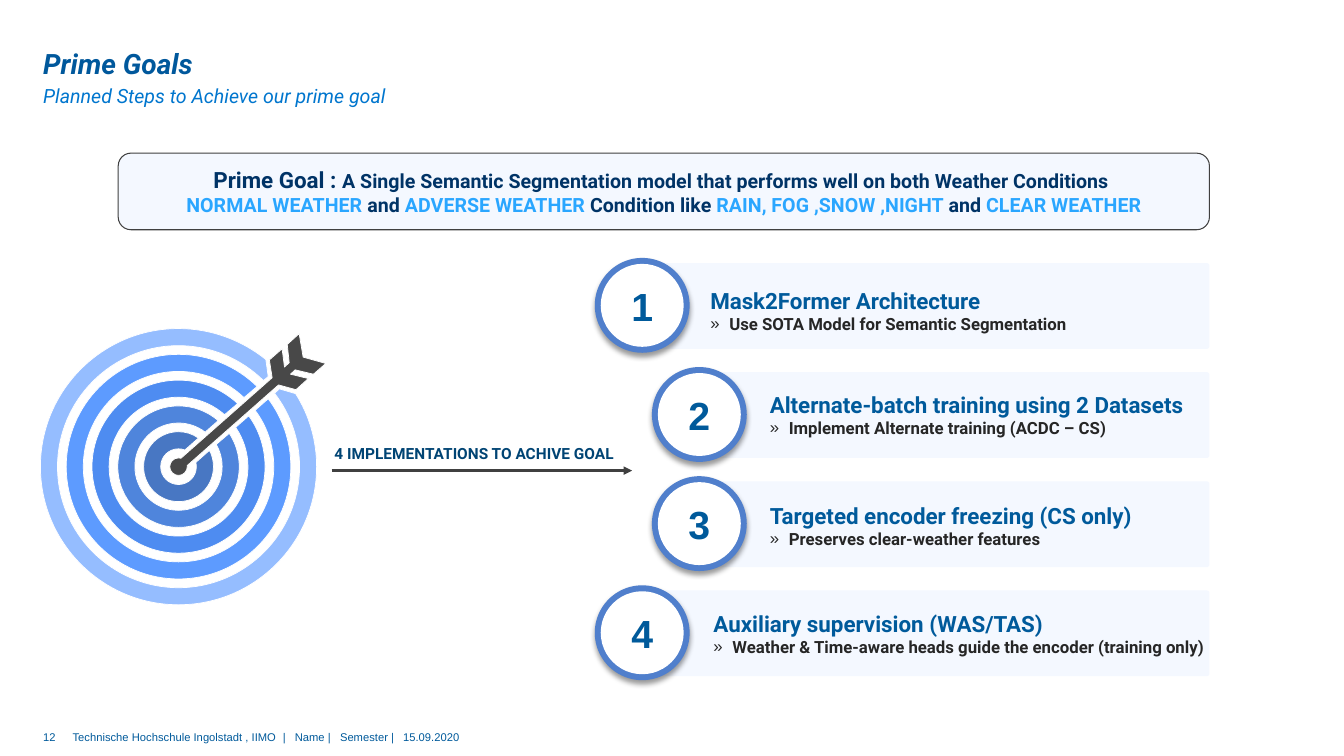
"""Builds the Prime Goals slide with a target, an arrow and four numbered steps."""
from itertools import pairwise
from math import asin, cos, pi, radians, sin, tan

from lxml.etree import SubElement
from pptx import Presentation
from pptx.dml.color import RGBColor
from pptx.enum.shapes import MSO_CONNECTOR, MSO_SHAPE
from pptx.enum.text import MSO_ANCHOR, PP_ALIGN
from pptx.oxml.ns import qn
from pptx.util import Cm, Pt

PALE, BLUE, NAVY, SKY, DARK = "F4F8FF", "005A9B", "003366", "2AA6FF", "404040"
hex_color = RGBColor.from_string


def style(shape, fill, line=None, width=0.5):
    shape.shadow.inherit = False
    shape.fill.solid()
    shape.fill.fore_color.rgb = hex_color(fill)
    if line:
        shape.line.color.rgb = hex_color(line)
        shape.line.width = Pt(width)
    else:
        shape.line.fill.background()
    return shape


def write(paragraph, runs, font, layout):
    for name, value in layout.items():
        setattr(paragraph, name, value)
    for text, size, color in runs:
        run = paragraph.add_run()
        run.text = text
        for name, value in {"name": "Roboto", "size": Pt(size), **font}.items():
            setattr(run.font, name, value)
        run.font.color.rgb = hex_color(color)


presentation = Presentation()
presentation.slide_width, presentation.slide_height = Cm(33.87), Cm(19.05)
slide = presentation.slides.add_slide(presentation.slide_layouts[6])
shapes = slide.shapes

bold = {"bold": True}
arial = {"name": "Arial"}
tab_stops = [5.3, 5.6, 6.74, 8.33]
captions = [
    (1.09, 1.19, 27.1, 0.91, "Prime Goals", 20, "00589C",
     {"bold": True, "italic": True}, {"line_spacing": 0.9}),
    (1.09, 1.88, 27.1, 0.94, "Planned Steps to Achieve our prime goal", 14, "0076CE",
     {"italic": True}, {"line_spacing": 1.4}),
    (1.09, 18.4, 0.7, 0.58, "12", 8, BLUE, arial, {}),
    (1.83, 18.4, 22.8, 0.69,
     "Technische Hochschule Ingolstadt , IIMO\t|\tName |\tSemester |\t15.09.2020",
     8, BLUE, arial, {}),
    (8.43, 11.2, 7.57, 0.6, "4 IMPLEMENTATIONS TO ACHIVE GOAL", 11, "004474", bold, {}),
]
for left, top, width, height, text, size, color, font, layout in captions:
    frame = shapes.add_textbox(Cm(left), Cm(top), Cm(width), Cm(height)).text_frame
    for name in ("margin_left", "margin_top", "margin_right", "margin_bottom"):
        setattr(frame, name, 0)
    frame.word_wrap = True
    frame.vertical_anchor = MSO_ANCHOR.MIDDLE if text == "Prime Goals" else MSO_ANCHOR.TOP
    caption = frame.paragraphs[0]
    if "\t" in text:
        tabs = SubElement(caption._p.get_or_add_pPr(), qn("a:tabLst"))
        for stop in tab_stops:
            SubElement(tabs, qn("a:tab"), pos=str(Cm(stop)), algn="l")
    write(caption, [(text, size, color)], font, layout)

goal = style(shapes.add_shape(MSO_SHAPE.ROUNDED_RECTANGLE, Cm(2.98), Cm(3.86), Cm(27.5), Cm(1.93)),
             PALE, DARK, 0.75)
goal.text_frame.word_wrap = True
goal.text_frame.vertical_anchor = MSO_ANCHOR.MIDDLE
centered = {"alignment": PP_ALIGN.CENTER}
write(goal.text_frame.paragraphs[0], [
    ("Prime Goal : ", 16, NAVY),
    ("A Single Semantic Segmentation model that performs well on both Weather Conditions ", 14, NAVY),
], bold, centered)
write(goal.text_frame.add_paragraph(), [
    ("NORMAL WEATHER ", 14, SKY), ("and ", 14, NAVY), ("ADVERSE WEATHER ", 14, SKY),
    ("Condition like ", 14, NAVY), ("RAIN, FOG ,SNOW ,NIGHT ", 14, SKY),
    ("and ", 14, NAVY), ("CLEAR WEATHER", 14, SKY),
], bold, centered)

center_x, center_y, tilt = 4.5, 11.76, radians(41.4)
target = []
for index, color in enumerate(["95BDFF", "5D9BFF", "4E8CF1", "4F85DC", "4877C3"]):
    outer = 3.48 - 0.65 * index
    notch = [] if index else [(3.2, -0.21)]
    target.append((color, [
        (outer, 0.21 if index else 0.57, 1, notch),
        (outer - 0.43, 0.21, -1, [(along, -across) for along, across in notch]),
    ]))
feathers = [(3.25, 0.12), (3.5, 0.5), (3.92, 0.5), (3.66, 0.12), (3.82, 0.12), (4.09, 0.5), (4.5, 0.5)]
shaft = [(along, -across) for along, across in feathers] + [(4.18, 0)] + feathers[::-1]
target.append(("484848", [(0.22, 0.12, 1, shaft)]))

for color, arcs in target:
    segments = []
    for radius, gap, direction, corners in arcs:
        opening = asin(gap / radius)
        angles = [tilt + opening, pi / 2, pi, 3 * pi / 2, 2 * pi, 2 * pi + tilt - opening][::direction]
        segments.append([(radius * cos(angles[0]), radius * sin(angles[0]))])
        for start, end in pairwise(angles):
            handle = 4 / 3 * tan((end - start) / 4)
            segments.append([(radius * x, radius * y) for x, y in (
                (cos(start) - handle * sin(start), sin(start) + handle * cos(start)),
                (cos(end) + handle * sin(end), sin(end) - handle * cos(end)),
                (cos(end), sin(end)))])
        segments += [[(along * cos(tilt) - across * sin(tilt), along * sin(tilt) + across * cos(tilt))]
                     for along, across in corners]
    points = [(100 * (center_x + x), 100 * (center_y - y)) for segment in segments for x, y in segment]
    builder = shapes.build_freeform(*points[0], scale=Cm(0.01))
    builder.add_line_segments(points[1:], close=True)
    outline = style(builder.convert_to_shape(), color, "FFFFFF")
    nodes = iter(list(outline._element.iter(qn("a:lnTo"))))
    for segment in segments[1:]:
        first, *others = [next(nodes) for _ in segment]
        if others:
            first.tag = qn("a:cubicBezTo")
            for node in others:
                first.append(node[0])
                node.getparent().remove(node)

pointer = shapes.add_connector(MSO_CONNECTOR.STRAIGHT, Cm(8.36), Cm(11.86), Cm(15.93), Cm(11.86))
pointer.line.color.rgb = hex_color(DARK)
pointer.line.width = Pt(2)
SubElement(pointer.line._get_or_add_ln(), qn("a:tailEnd"), type="triangle")
SubElement(pointer._element.spPr, qn("a:effectLst"))

steps = [
    (14.99, 16.15, 17.65, 7.11, "Mask2Former Architecture",
     "Use SOTA Model for Semantic Segmentation"),
    (16.43, 17.65, 19.15, 9.73, "Alternate-batch training using 2 Datasets",
     "Implement Alternate training (ACDC – CS)"),
    (16.43, 17.65, 19.15, 12.52, "Targeted encoder freezing (CS only)",
     "Preserves clear-weather features"),
    (14.99, 16.33, 17.73, 15.24, "Auxiliary supervision (WAS/TAS)",
     "Weather & Time-aware heads guide the encoder (training only)"),
]
for index, (badge_left, card_left, text_left, text_top, heading, detail) in enumerate(steps):
    badge_top = 6.5 + 2.75 * index
    card = style(shapes.add_shape(MSO_SHAPE.ROUNDED_RECTANGLE, Cm(card_left), Cm(badge_top + 0.13),
                                  Cm(30.48 - card_left), Cm(2.16)), PALE)
    card.adjustments[0] = 0.03

    frame = shapes.add_textbox(Cm(text_left), Cm(text_top), Cm(14.68), Cm(1.45)).text_frame
    frame.word_wrap = True
    write(frame.paragraphs[0], [(heading, 16, BLUE)], bold, {})
    bullet = frame.add_paragraph()
    properties = bullet._p.get_or_add_pPr()
    properties.set("marL", str(Cm(0.48)))
    properties.set("indent", str(-Cm(0.48)))
    SubElement(properties, qn("a:buFont"), typeface="Arial")
    SubElement(properties, qn("a:buChar"), char="»")
    write(bullet, [(detail, 12, "262626")], bold, {})

    ring = style(shapes.add_shape(MSO_SHAPE.OVAL, Cm(badge_left), Cm(badge_top), Cm(2.39), Cm(2.39)), "507FCC")
    shadow = SubElement(ring._element.spPr.find(qn("a:effectLst")), qn("a:outerShdw"),
                        blurRad=str(Pt(4)), dist=str(Pt(3)), dir="5400000", rotWithShape="0")
    SubElement(SubElement(shadow, qn("a:srgbClr"), val="000000"), qn("a:alpha"), val="40000")
    number = style(shapes.add_shape(MSO_SHAPE.OVAL, Cm(badge_left + 0.15), Cm(badge_top + 0.15),
                                    Cm(2.09), Cm(2.09)), "FFFFFF").text_frame
    number.vertical_anchor = MSO_ANCHOR.MIDDLE
    write(number.paragraphs[0], [(str(index + 1), 28, BLUE)], {**arial, **bold}, centered)

presentation.save("out.pptx")
